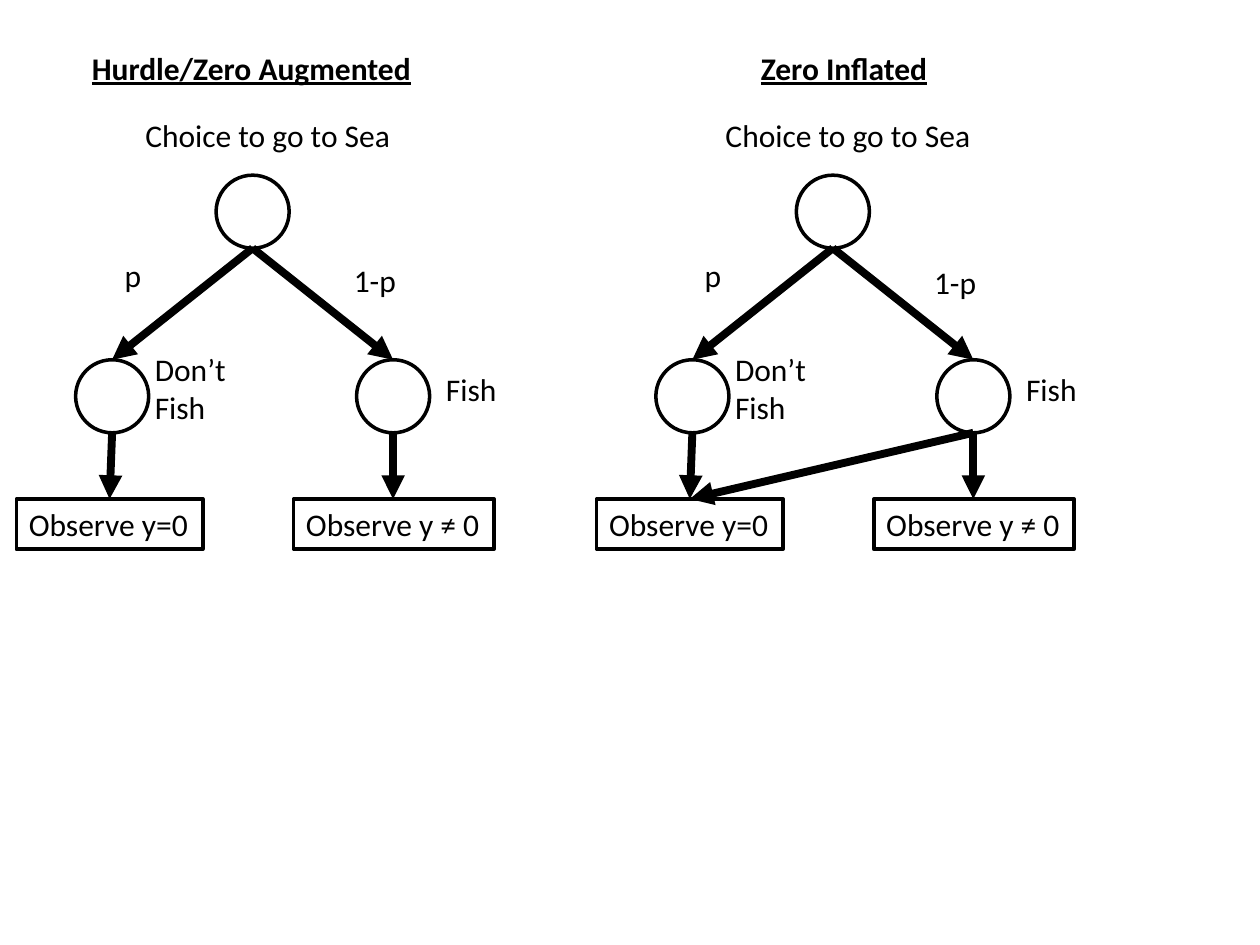
from dataclasses import dataclass

from lxml import etree
from pptx import Presentation
from pptx.dml.color import RGBColor
from pptx.enum.shapes import MSO_CONNECTOR, MSO_SHAPE
from pptx.enum.text import MSO_AUTO_SIZE, PP_ALIGN
from pptx.oxml.ns import qn
from pptx.util import Inches, Pt

OVAL, RECTANGLE = MSO_SHAPE.OVAL, MSO_SHAPE.RECTANGLE
STRAIGHT = MSO_CONNECTOR.STRAIGHT
LEFT, CENTER = PP_ALIGN.LEFT, PP_ALIGN.CENTER
FIT_SHAPE = MSO_AUTO_SIZE.SHAPE_TO_FIT_TEXT
COLUMNS, ROWS = 100, 75


@dataclass(frozen=True)
class Theme:
    ink: RGBColor = RGBColor(0, 0, 0)
    paper: RGBColor = RGBColor(255, 255, 255)
    font: str = "Calibri"
    text_size: Pt = Pt(18)
    outline: Pt = Pt(2)
    arrow: Pt = Pt(4.5)


class Diagram:
    """Draws on one slide; all lengths are grid columns and rows."""

    def __init__(self, deck, theme):
        self.theme = theme
        self.page = deck.slides.add_slide(deck.slide_layouts[6])
        self.column = deck.slide_width / COLUMNS
        self.row = deck.slide_height / ROWS

    def place(self, *lengths):
        units = (self.column, self.row) * 2
        return [round(length * unit) for length, unit in zip(lengths, units)]

    def set_text(self, box, text, align, heading=False):
        frame = box.text_frame
        frame.text = text
        frame.word_wrap = False
        frame.auto_size = FIT_SHAPE
        for para in frame.paragraphs:
            para.alignment = align
            font = para.font
            font.name, font.size = self.theme.font, self.theme.text_size
            font.color.rgb = self.theme.ink
            if heading:
                font.bold = font.underline = True

    def label(self, text, left, top, width, height=4, align=LEFT, heading=False):
        box = self.page.shapes.add_textbox(*self.place(left, top, width, height))
        self.set_text(box, text, align, heading)

    def outlined(self, kind, left, top, width, height):
        shape = self.page.shapes.add_shape(kind, *self.place(left, top, width, height))
        shape.shadow.inherit = False
        shape.fill.solid()
        shape.fill.fore_color.rgb = self.theme.paper
        shape.line.color.rgb = self.theme.ink
        shape.line.width = self.theme.outline
        return shape

    def node(self, center, top, size):
        self.outlined(OVAL, center - size / 2, top, size, size)

    def outcome(self, text, left, top, width, height=4):
        self.set_text(self.outlined(RECTANGLE, left, top, width, height), text, LEFT)

    def arrow(self, start, end):
        connector = self.page.shapes.add_connector(STRAIGHT, *self.place(*start, *end))
        connector.line.color.rgb = self.theme.ink
        connector.line.width = self.theme.arrow
        properties = connector._element.spPr
        etree.SubElement(properties.find(qn("a:ln")), qn("a:tailEnd"), type="triangle")
        etree.SubElement(properties, qn("a:effectLst"))


def decision_tree(diagram, left, fish_chance_top, zero_from_fishing=False):
    size, root_top, branch_top, outcome_top = 5.8, 13.9, 28.55, 39.6
    root, stay, fish = left + 20.05, left + 8.9, left + 31.2
    root_bottom, branch_bottom = root_top + size, branch_top + size
    zero = (left + 8.7, outcome_top)

    # Choice nodes and observed outcomes
    diagram.node(root, root_top, size)
    for branch in (stay, fish):
        diagram.node(branch, branch_top, size)
    diagram.outcome("Observe y=0", left + 1.3, outcome_top, 14.8)
    diagram.outcome("Observe y ≠ 0", left + 23.3, outcome_top, 15.9)

    # Branches
    for branch in (stay, fish):
        diagram.arrow((root, root_bottom), (branch, branch_top))
    diagram.arrow((stay, branch_bottom), zero)
    diagram.arrow((fish, branch_bottom), (fish, outcome_top))

    # Labels
    diagram.label("Choice to go to Sea", left + 10.4, 8.7, 21.7, align=CENTER)
    diagram.label("p", left + 8.9, 19.8, 3.3)
    diagram.label("1-p", left + 27.1, fish_chance_top, 5.4)
    diagram.label("Fish", left + 34.4, 28.9, 6.1)
    diagram.label("Don’t\nFish", left + 11.3, 27.3, 7.8, 7.1)

    if zero_from_fishing:
        diagram.arrow((fish, branch_bottom), zero)


def main():
    deck = Presentation()
    deck.slide_width, deck.slide_height = Inches(10), Inches(7.5)
    diagram = Diagram(deck, Theme())

    decision_tree(diagram, left=0, fish_chance_top=20.2)
    decision_tree(diagram, left=46.05, fish_chance_top=20.4, zero_from_fishing=True)

    # Headings
    diagram.label("Zero Inflated", 59.4, 3.4, 15.5, heading=True)
    diagram.label("Hurdle/Zero Augmented", 6.3, 3.4, 27.8, heading=True)

    deck.save("out.pptx")


if __name__ == "__main__":
    main()
